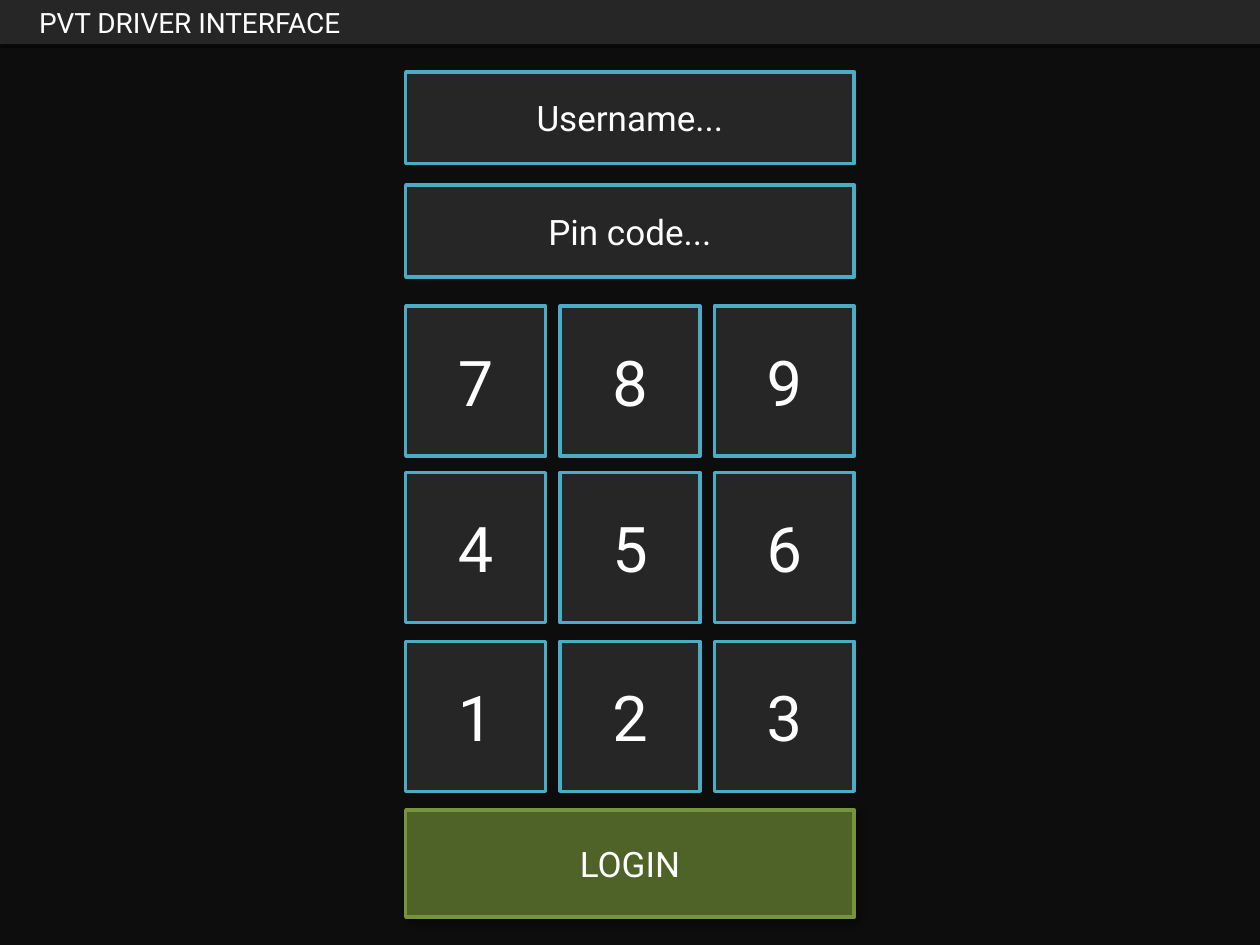
"""Build the login screen of the driver interface."""
from dataclasses import dataclass
from typing import Optional

import lxml.etree
import pptx
import pptx.dml.color
import pptx.enum.shapes
import pptx.enum.text
import pptx.oxml.ns
import pptx.util

Inches = pptx.util.Inches
Align = pptx.enum.text.PP_ALIGN

PAGE_WIDTH, PAGE_HEIGHT = 10, 7.5
PANEL_LEFT, PANEL_WIDTH = 3.22, 3.56
KEY_WIDTH, KEY_HEIGHT = 1.11, 1.19
KEY_STEP = (PANEL_WIDTH - KEY_WIDTH) / 2
KEY_ROWS = {2.43: "789", 3.75: "456", 5.09: "123"}
BLACK, GREY, WHITE = "0D0D0D", "262626", "FFFFFF"
BLUE, GREEN, DARK_GREEN = "4BACC6", "77933C", "4F6228"


@dataclass
class Shadow:
    blur: float
    distance: float
    angle: int


@dataclass
class Panel:
    left: float
    top: float
    width: float
    height: float
    text: str = ""
    size: int = 20
    fill: str = GREY
    line: Optional[str] = BLUE
    shadow: Optional[Shadow] = None
    align: Align = Align.CENTER
    margin: float = 0.1


def color(value: str) -> pptx.dml.color.RGBColor:
    return pptx.dml.color.RGBColor.from_string(value)


def set_values(target, values: dict) -> None:
    for name, value in values.items():
        setattr(target, name, value)


def add_shadow(box, shadow: Shadow) -> None:
    qn = pptx.oxml.ns.qn
    effects = box.element.spPr.find(qn("a:effectLst"))
    outer = lxml.etree.SubElement(effects, qn("a:outerShdw"), {
        "blurRad": str(pptx.util.Pt(shadow.blur)),
        "dist": str(pptx.util.Pt(shadow.distance)),
        "dir": str(shadow.angle * 60000),
        "algn": "tl",
        "rotWithShape": "0",
    })
    tint = lxml.etree.SubElement(outer, qn("a:srgbClr"), {"val": "000000"})
    lxml.etree.SubElement(tint, qn("a:alpha"), {"val": "40000"})


def format_panel(box, panel: Panel) -> None:
    set_values(box, {
        "left": Inches(panel.left),
        "top": Inches(panel.top),
        "width": Inches(panel.width),
        "height": Inches(panel.height),
    })
    box.fill.solid()
    box.fill.fore_color.rgb = color(panel.fill)
    if panel.line:
        box.line.color.rgb = color(panel.line)
        box.line.width = pptx.util.Pt(2)
    else:
        box.line.fill.background()
    box.shadow.inherit = False
    if panel.shadow:
        add_shadow(box, panel.shadow)
    if panel.text:
        write_text(box, panel)


def write_text(box, panel: Panel) -> None:
    set_values(box.text_frame, {
        "auto_size": pptx.enum.text.MSO_AUTO_SIZE.NONE,
        "word_wrap": True,
        "vertical_anchor": pptx.enum.text.MSO_ANCHOR.MIDDLE,
        "margin_left": Inches(panel.margin),
    })
    para = box.text_frame.paragraphs[0]
    para.alignment = panel.align
    span = para.add_run()
    span.text = panel.text
    set_values(span.font, {"name": "Roboto", "size": pptx.util.Pt(panel.size)})
    span.font.color.rgb = color(WHITE)


def add_panel(page, panel: Panel):
    box = page.shapes.add_shape(
        pptx.enum.shapes.MSO_SHAPE.RECTANGLE, 0, 0, 0, 0)
    format_panel(box, panel)
    return box


def main() -> None:
    deck = pptx.Presentation()
    set_values(deck, {"slide_width": Inches(PAGE_WIDTH),
                      "slide_height": Inches(PAGE_HEIGHT)})
    page = deck.slides.add_slide(deck.slide_layouts.get_by_name("Title Only"))

    backdrop = add_panel(page, Panel(
        0, 0, PAGE_WIDTH, PAGE_HEIGHT, fill=BLACK, line=None))
    title = page.shapes.title
    format_panel(title, Panel(
        0, 0, PAGE_WIDTH, 0.35, "PVT DRIVER INTERFACE", 16, line=None,
        shadow=Shadow(1, 1, 90), align=Align.LEFT, margin=0.31))
    backdrop.element.addnext(title.element)

    for top, prompt in ((0.57, "Username..."), (1.47, "Pin code...")):
        add_panel(page, Panel(PANEL_LEFT, top, PANEL_WIDTH, 0.73, prompt))
    for top, digits in KEY_ROWS.items():
        for column, digit in enumerate(digits):
            add_panel(page, Panel(PANEL_LEFT + column * KEY_STEP, top,
                                  KEY_WIDTH, KEY_HEIGHT, digit, 36))
    add_panel(page, Panel(
        PANEL_LEFT, 6.43, PANEL_WIDTH, 0.85, "LOGIN", fill=DARK_GREEN,
        line=GREEN, shadow=Shadow(4, 3, 45)))
    deck.save("out.pptx")


if __name__ == "__main__":
    main()
